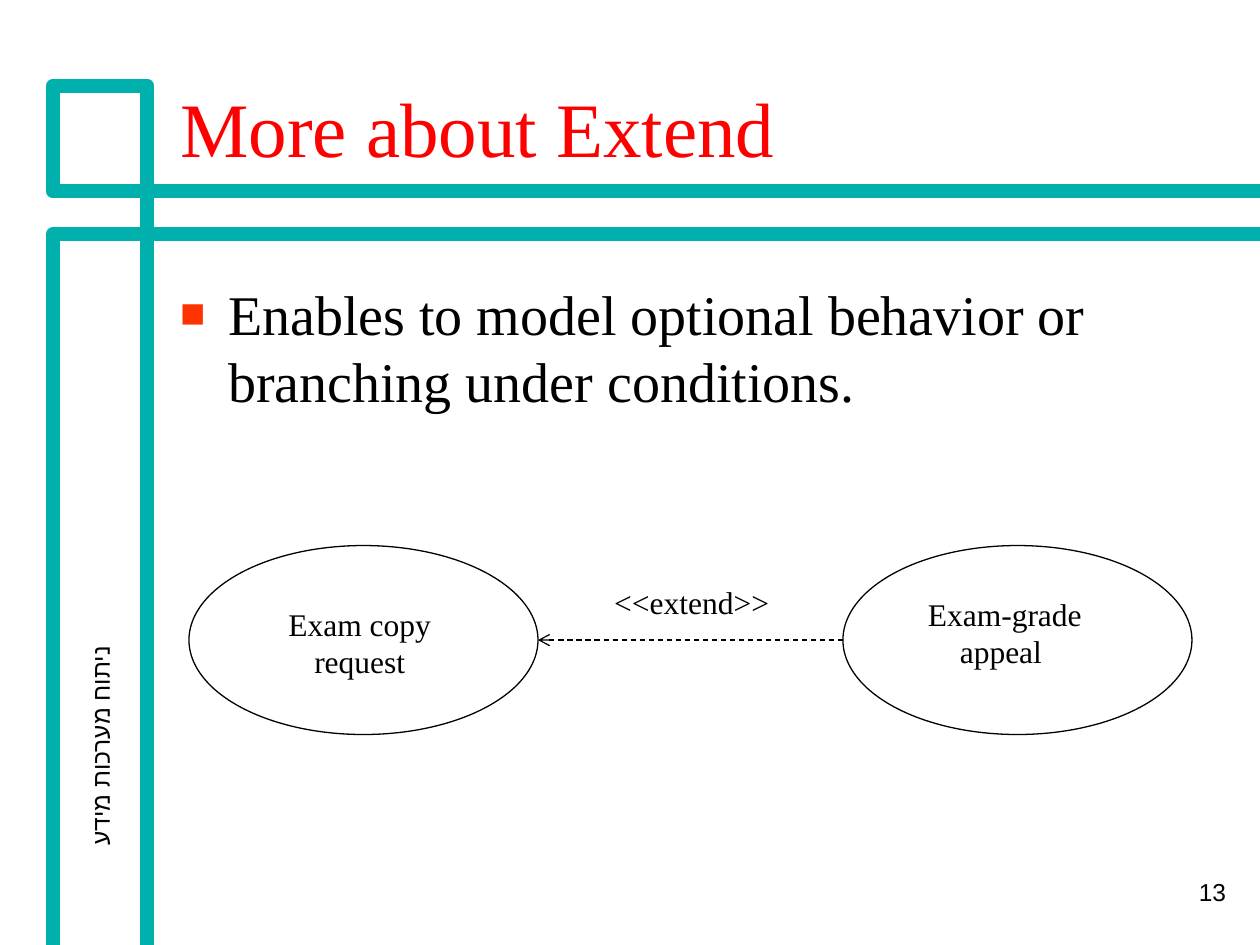
from lxml.etree import SubElement
from pptx import Presentation
from pptx.dml.color import RGBColor
from pptx.enum.dml import MSO_LINE
from pptx.enum.shapes import MSO_CONNECTOR, MSO_SHAPE
from pptx.enum.text import MSO_ANCHOR as Anchor, MSO_AUTO_SIZE, PP_ALIGN as Align
from pptx.oxml.ns import qn
from pptx.util import Inches, Pt

WIDTH, HEIGHT = 10, 7.5
TEAL, RED, ORANGE, BLACK = "00B0AC", "FF0000", "FF3300", "000000"
SERIF, SANS = "Times New Roman", "Arial"
LEFT, TEXT_WIDTH = 1.33, 8.5
OVAL_TOP, OVAL_WIDTH, OVAL_HEIGHT = 4.33, 2.77, 1.5
OVAL_LEFTS = (1.5, 6.69)


def color(value):
    return RGBColor.from_string(value)


def place(shape, left, top, width, height):
    shape.left, shape.top = Inches(left), Inches(top)
    shape.width, shape.height = Inches(width), Inches(height)


def write(box, text, size, font=SERIF, ink=BLACK, align=Align.LEFT,
          anchor=Anchor.TOP, wrap=True):
    frame = box.text_frame
    frame.auto_size = MSO_AUTO_SIZE.NONE
    frame.word_wrap, frame.vertical_anchor = wrap, anchor
    para = frame.paragraphs[0]
    para.alignment = align
    span = para.add_run()
    span.text = text
    span.font.name, span.font.size = font, Pt(size)
    span.font.color.rgb = color(ink)
    # Complex scripts such as Hebrew take their own font
    SubElement(span.font._element, qn("a:cs"), typeface=font)
    return para


def label(page, text, spot, size=18, **style):
    box = page.shapes.add_textbox(*map(Inches, spot))
    write(box, text, size, **style)
    return box


def frame_line(page, points):
    start, *rest = [(Inches(x), Inches(y)) for x, y in points]
    builder = page.shapes.build_freeform(*start, scale=1.0)
    builder.add_line_segments(rest, close=False)
    shape = builder.convert_to_shape()
    shape.shadow.inherit = False
    shape.fill.background()
    shape.line.color.rgb = color(TEAL)
    shape.line.width = Pt(8)
    SubElement(shape.line._get_or_add_ln(), qn("a:round"))


def add_bullet(para):
    props = para._p.get_or_add_pPr()
    props.set("marL", str(Inches(0.38)))
    props.set("indent", str(-Inches(0.38)))
    tint = SubElement(props, qn("a:buClr"))
    SubElement(tint, qn("a:srgbClr"), val=ORANGE)
    SubElement(props, qn("a:buSzPct"), val="75000")
    SubElement(props, qn("a:buFont"), typeface=SANS)
    SubElement(props, qn("a:buChar"), char="■")


def use_case(page, left):
    oval = page.shapes.add_shape(
        MSO_SHAPE.OVAL, *map(Inches, (left, OVAL_TOP, OVAL_WIDTH, OVAL_HEIGHT)))
    oval.shadow.inherit = False
    oval.fill.background()
    oval.line.color.rgb = color(BLACK)
    oval.line.width = Pt(0.75)


def extend_arrow(page):
    middle = OVAL_TOP + OVAL_HEIGHT / 2
    tip, tail = OVAL_LEFTS[0] + OVAL_WIDTH, OVAL_LEFTS[1]
    arrow = page.shapes.add_connector(
        MSO_CONNECTOR.STRAIGHT, *map(Inches, (tip, middle, tail, middle)))
    arrow.line.color.rgb = color(BLACK)
    arrow.line.width = Pt(0.75)
    arrow.line.dash_style = MSO_LINE.DASH
    SubElement(arrow.line._get_or_add_ln(), qn("a:headEnd"), type="arrow")
    SubElement(arrow._element.spPr, qn("a:effectLst"))


def main():
    deck = Presentation()
    deck.slide_width, deck.slide_height = Inches(WIDTH), Inches(HEIGHT)
    page = deck.slides.add_slide(deck.slide_layouts[1])
    title, body = page.placeholders

    # Teal frame
    frame_line(page, [(WIDTH, 1.86), (0.42, 1.86), (0.42, HEIGHT)])
    frame_line(page, [(1.17, HEIGHT), (1.17, 0.68), (0.42, 0.68),
                      (0.42, 1.52), (WIDTH, 1.52)])

    # Course name along the side, page number
    course = label(page, "ניתוח מערכות מידע", (-0.79, 5.67, 3.17, 0.5), 14,
                   font=SANS, align=Align.CENTER, anchor=Anchor.MIDDLE, wrap=False)
    course.rotation = 270
    label(page, "13", (7.75, 6.83, 2.08, 0.5), 14, font=SANS,
          align=Align.RIGHT, anchor=Anchor.MIDDLE)

    # Title and list
    place(title, LEFT, 0.23, TEXT_WIDTH, 1.19)
    write(title, "More about Extend", 44, ink=RED, anchor=Anchor.BOTTOM)
    place(body, LEFT, 2.17, TEXT_WIDTH, 4.5)
    add_bullet(write(body, "Enables to model optional behavior or "
                           "branching under conditions.", 32))

    # Use case diagram
    for left in OVAL_LEFTS:
        use_case(page, left)
    extend_arrow(page)
    for text, spot in (("Exam copy request", (1.85, 4.75, 2.01, 0.7)),
                       ("Exam-grade appeal ", (6.92, 4.67, 2.11, 0.7)),
                       ("<<extend>>", (4.77, 4.58, 1.44, 0.4))):
        label(page, text, spot, align=Align.CENTER)

    deck.save("out.pptx")


if __name__ == "__main__":
    main()
